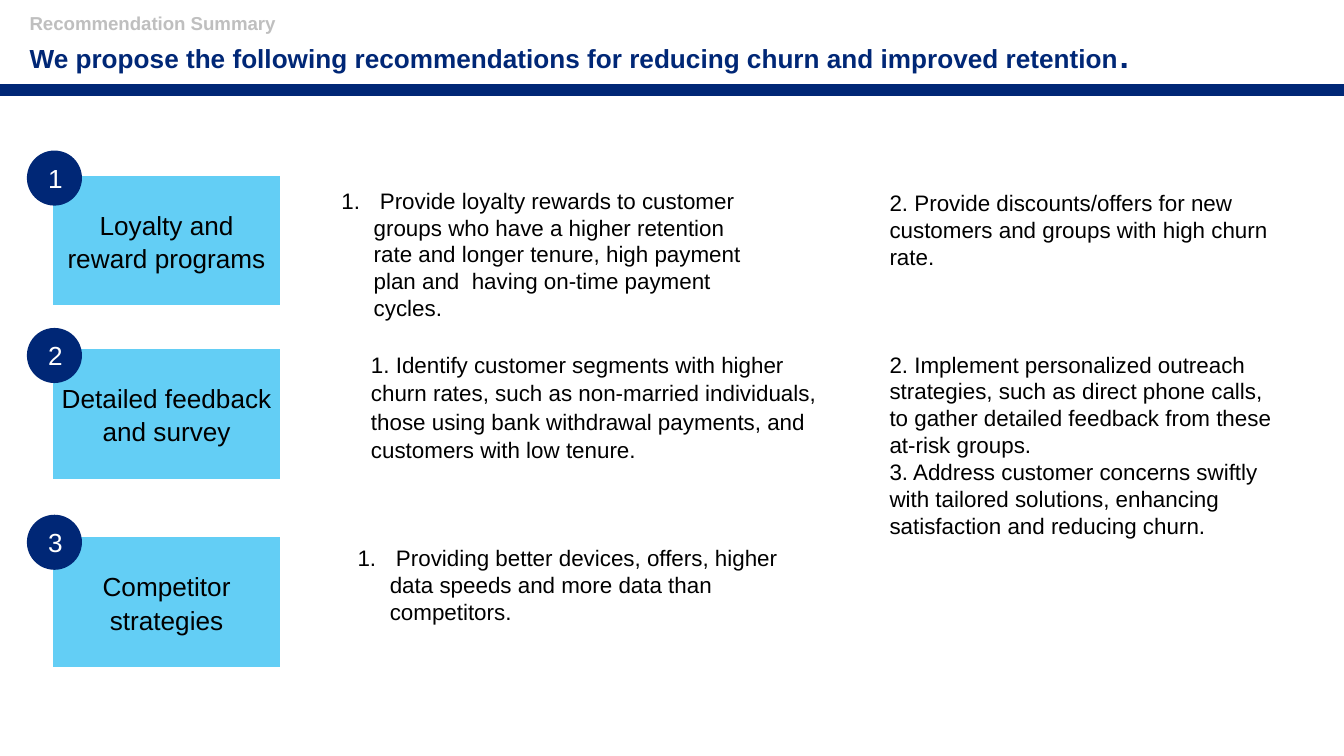
import pptx
import pptx.util
import pptx.dml.color
import pptx.enum.shapes
import pptx.enum.text
import pptx.oxml.ns
from lxml import etree

RGBColor = pptx.dml.color.RGBColor
Inches = pptx.util.Inches
qn = pptx.oxml.ns.qn

NAVY = RGBColor(0x00, 0x27, 0x76)
SKY = RGBColor(0x00, 0xB0, 0xF0)
GREY = RGBColor(0xBF, 0xBF, 0xBF)
BLACK = RGBColor(0, 0, 0)
WHITE = RGBColor(0xFF, 0xFF, 0xFF)
FONT = "Arial"
SLIDE_WIDTH = Inches(10)
SLIDE_HEIGHT = SLIDE_WIDTH * 9 // 16
TIGHT = (0.04, 0.04)
NORMAL = (0.1, 0.05)
HANGING = 0.24


def add_run(paragraph, text, size, color, bold=False):
    run = paragraph.add_run()
    run.text = text
    run.font.name = FONT
    run.font.size = pptx.util.Pt(size)
    run.font.bold = bold
    run.font.color.rgb = color


def set_frame(frame, insets, anchor=pptx.enum.text.MSO_ANCHOR.TOP):
    frame.word_wrap = True
    frame.vertical_anchor = anchor
    frame.margin_left = frame.margin_right = Inches(insets[0])
    frame.margin_top = frame.margin_bottom = Inches(insets[1])


def add_filled_shape(slide, preset, box, fill, label, color, insets, spacing=None):
    shape = slide.shapes.add_shape(preset, *map(Inches, box))
    shape.shadow.inherit = False
    shape.fill.solid()
    shape.fill.fore_color.rgb = fill
    set_frame(shape.text_frame, insets, pptx.enum.text.MSO_ANCHOR.MIDDLE)
    paragraph = shape.text_frame.paragraphs[0]
    paragraph.alignment = pptx.enum.text.PP_ALIGN.CENTER
    paragraph.line_spacing = spacing
    add_run(paragraph, label, 14, color)
    return shape


def add_header(slide, left, top, width, height):
    """Section label and headline above a full-width rule."""
    header = slide.shapes.add_textbox(*map(Inches, (left, top, width, height)))
    set_frame(header.text_frame, (0, 0))
    paragraph = header.text_frame.paragraphs[0]
    add_run(paragraph, "Recommendation Summary", 10, GREY, True)
    paragraph.add_line_break()
    add_run(paragraph, "We propose the following recommendations for reducing churn "
            "and improved retention", 14, NAVY, True)
    add_run(paragraph, ".", 18, NAVY, True)

    rule_y = Inches(top + 0.58)
    rule = slide.shapes.add_connector(
        pptx.enum.shapes.MSO_CONNECTOR.STRAIGHT, 0, rule_y, SLIDE_WIDTH, rule_y)
    rule.line.color.rgb = NAVY
    rule.line.width = pptx.util.Pt(6)
    etree.SubElement(rule.element.spPr, qn("a:effectLst"))


def add_theme(slide, left, top, width, height, number, title, badge_rise):
    """Translucent theme box with a numbered badge on its top left corner."""
    theme = add_filled_shape(slide, pptx.enum.shapes.MSO_SHAPE.RECTANGLE,
                             (left, top, width, height),
                             SKY, title, BLACK, TIGHT, 1.06)
    theme.line.color.rgb = WHITE
    theme.line.width = pptx.util.Pt(1)
    sky = theme.element.spPr.find(qn("a:solidFill"))[0]
    etree.SubElement(sky, qn("a:alpha")).set("val", "61000")

    badge = add_filled_shape(slide, pptx.enum.shapes.MSO_SHAPE.OVAL,
                             (left - 0.19, top - badge_rise, 0.41, 0.41),
                             NAVY, str(number), WHITE, NORMAL)
    badge.line.fill.background()


def add_actions(slide, left, top, width, height, actions, insets,
                indent=0, numbered=False, spacing=None):
    """Recommended actions, one paragraph each."""
    box = slide.shapes.add_textbox(*map(Inches, (left, top, width, height)))
    frame = box.text_frame
    set_frame(frame, insets)
    for index, action in enumerate(actions):
        paragraph = frame.add_paragraph() if index else frame.paragraphs[0]
        paragraph.line_spacing = spacing
        add_run(paragraph, action, 12, BLACK)
        properties = paragraph._p.get_or_add_pPr()
        properties.set("marL", str(Inches(indent)))
        properties.set("indent", str(Inches(-HANGING if numbered else 0)))
        if numbered:
            bullet_color = etree.SubElement(properties, qn("a:buClr"))
            etree.SubElement(bullet_color, qn("a:srgbClr")).set("val", str(BLACK))
            bullet = etree.SubElement(properties, qn("a:buAutoNum"))
            bullet.set("type", "arabicPeriod")


# Theme title, row top, badge rise above the row
THEMES = [
    ("Loyalty and reward programs", 1.3, 0.18),
    ("Detailed feedback and survey", 2.59, 0.15),
    ("Competitor strategies", 3.99, 0.16),
]

# Box, actions, insets, indent, numbered, line spacing
ACTIONS = [
    ((2.24, 1.35, 3.41, 0.94),
     [" Provide loyalty rewards to customer groups who have a higher retention rate "
      "and longer tenure, high payment plan and  having on-time payment cycles."],
     TIGHT, 0.5, True, None),
    ((2.72, 2.56, 3.41, 1.18),
     ["1. Identify customer segments with higher churn rates, such as non-married "
      "individuals, those using bank withdrawal payments, and customers with low tenure."],
     TIGHT, 0, False, 1.06),
    ((2.62, 4.01, 3.41, 0.94),
     [" Providing better devices, offers, higher data speeds and more data than "
      "competitors."],
     TIGHT, HANGING, True, None),
    ((6.02, 1.36, 3.85, 0.71),
     ["2. Provide discounts/offers for new customers and groups with high churn rate."],
     NORMAL, 0.5, False, None),
    ((6.52, 2.56, 3.09, 1.51),
     ["2. Implement personalized outreach strategies, such as direct phone calls, to "
      "gather detailed feedback from these at-risk groups.",
      "3. Address customer concerns swiftly with tailored solutions, enhancing "
      "satisfaction and reducing churn."],
     NORMAL, 0, False, None),
]


def main():
    deck = pptx.Presentation()
    deck.slide_width = SLIDE_WIDTH
    deck.slide_height = SLIDE_HEIGHT
    slide = deck.slides.add_slide(deck.slide_layouts[6])

    add_header(slide, 0.22, 0.09, 9.17, 0.6)
    for number, (title, top, badge_rise) in enumerate(THEMES, 1):
        add_theme(slide, 0.39, top, 1.7, 0.98, number, title, badge_rise)
    for box, *details in ACTIONS:
        add_actions(slide, *box, *details)

    deck.save("out.pptx")


if __name__ == "__main__":
    main()
